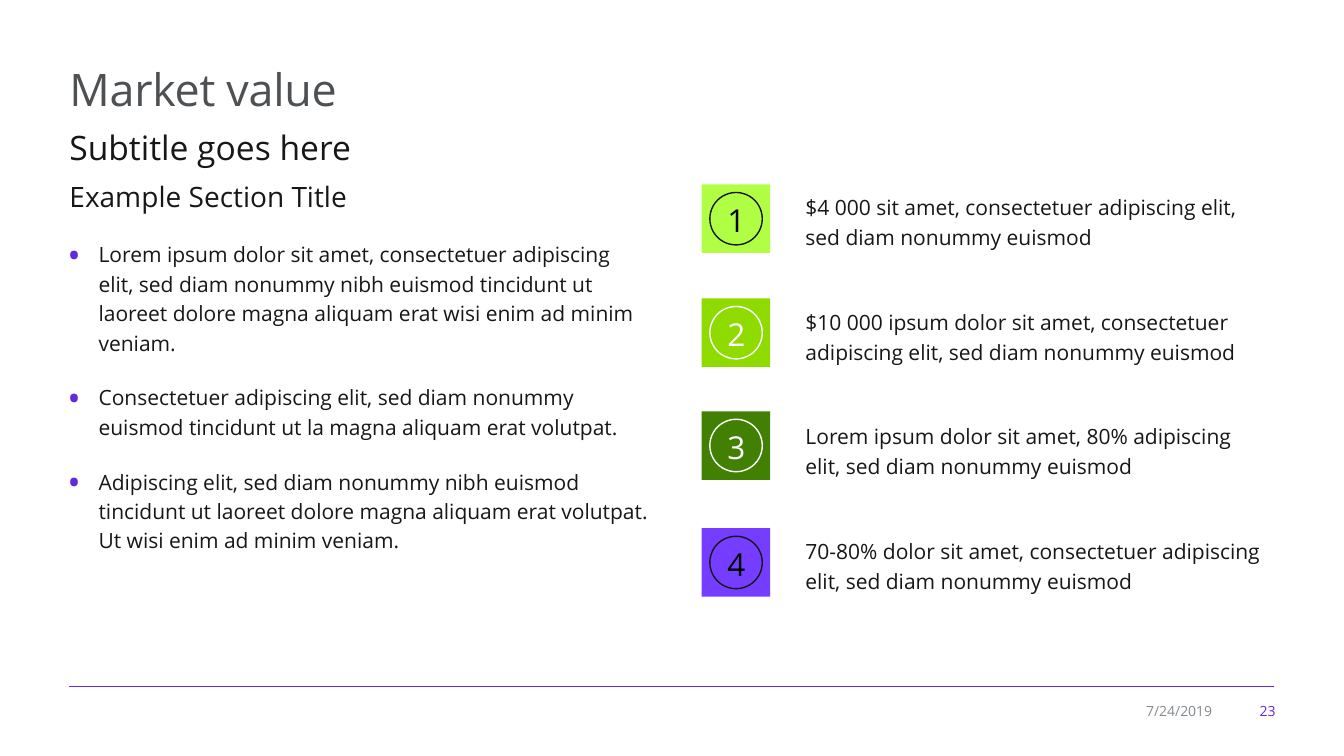
from dataclasses import dataclass
from typing import Optional

from lxml.etree import SubElement
from pptx import Presentation
from pptx.dml.color import RGBColor
from pptx.enum.shapes import MSO_CONNECTOR, MSO_SHAPE
from pptx.enum.text import MSO_ANCHOR, MSO_AUTO_SIZE, PP_ALIGN
from pptx.oxml.ns import qn
from pptx.shapes.autoshape import Shape
from pptx.slide import Slide
from pptx.text.text import _Paragraph as Paragraph
from pptx.util import Inches, Pt

FONT = "Open Sans"
INK = RGBColor(0x16, 0x17, 0x18)
BLACK = RGBColor(0x00, 0x00, 0x00)
WHITE = RGBColor(0xFF, 0xFF, 0xFF)
SLATE = RGBColor(0x4D, 0x51, 0x54)
GRAY = RGBColor(0x86, 0x8B, 0x90)
PURPLE = RGBColor(0x62, 0x2A, 0xD8)
VIOLET = RGBColor(0x75, 0x3D, 0xFF)
LIME = RGBColor(0xB0, 0xFF, 0x45)
GREEN = RGBColor(0x8F, 0xDB, 0x00)
FOREST = RGBColor(0x42, 0x80, 0x03)

TILE_LEFT = 6.96
TILE_SIZE = 0.68
RING_SIZE = 0.52
RING_INSET = (TILE_SIZE - RING_SIZE) / 2
VALUE_TOP = 1.83
VALUE_STEP = 1.137


@dataclass(frozen=True)
class Label:
    left: float
    top: float
    width: float
    height: float
    paragraphs: tuple[str, ...]
    size: float
    color: RGBColor = INK
    line_spacing: Optional[float] = None
    space_after: float = 0
    bulleted: bool = False
    footer: bool = False
    tracking: int = 0


@dataclass(frozen=True)
class Value:
    tile_top: float
    tile_color: RGBColor
    ring_color: RGBColor
    number_color: RGBColor
    text: str


LABELS = (
    Label(0.59, 0.56, 12.16, 0.66, ("Market value",), 32, SLATE, tracking=-20),
    Label(0.59, 1.14, 12.03, 0.54, ("Subtitle goes here",), 24, line_spacing=1.17, space_after=6),
    Label(0.59, 1.73, 5.95, 0.44, ("Example Section Title",), 20),
    Label(
        0.57, 2.31, 5.97, 3.54,
        (
            "Lorem ipsum dolor sit amet, consectetuer adipiscing elit, sed diam nonummy nibh "
            "euismod tincidunt ut laoreet dolore magna aliquam erat wisi enim ad minim veniam.",
            "Consectetuer adipiscing elit, sed diam nonummy\v"
            "euismod tincidunt ut la magna aliquam erat volutpat.",
            "Adipiscing elit, sed diam nonummy nibh euismod\v"
            "tincidunt ut laoreet dolore magna aliquam erat volutpat. Ut wisi enim ad minim veniam.",
        ),
        15, line_spacing=1.17, space_after=18, bulleted=True,
    ),
    Label(12.24, 6.92, 0.51, 0.26, ("23",), 10, PURPLE, footer=True),
    Label(11.17, 6.92, 0.95, 0.26, ("7/24/2019",), 10, GRAY, footer=True),
)

VALUES = (
    Value(1.83, LIME, INK, BLACK,
          "$4 000 sit amet, consectetuer adipiscing elit, sed diam nonummy euismod"),
    Value(2.96, GREEN, WHITE, WHITE,
          "$10 000 ipsum dolor sit amet, consectetuer adipiscing elit, sed diam nonummy euismod"),
    Value(4.08, FOREST, WHITE, WHITE,
          "Lorem ipsum dolor sit amet, 80% adipiscing elit, sed diam nonummy euismod"),
    Value(5.24, VIOLET, INK, BLACK,
          "70-80% dolor sit amet, consectetuer adipiscing elit, sed diam nonummy euismod"),
)


def style_font(paragraph: Paragraph, size: float, color: RGBColor) -> None:
    paragraph.font.name = FONT
    paragraph.font.size = Pt(size)
    paragraph.font.color.rgb = color


def add_bullet(paragraph: Paragraph) -> None:
    properties = paragraph._p.get_or_add_pPr()
    properties.set("marL", str(Inches(0.31)))
    properties.set("indent", str(-Inches(0.31)))
    color = SubElement(properties, qn("a:buClr"))
    SubElement(color, qn("a:srgbClr"), val=str(PURPLE))
    SubElement(properties, qn("a:buSzPct"), val="170000")
    SubElement(properties, qn("a:buFont"), typeface=FONT)
    SubElement(properties, qn("a:buChar"), char="•")


def add_label(page: Slide, label: Label) -> None:
    box = page.shapes.add_textbox(
        Inches(label.left), Inches(label.top), Inches(label.width), Inches(label.height)
    )
    frame = box.text_frame
    frame.word_wrap = True
    if label.footer:
        frame.vertical_anchor = MSO_ANCHOR.MIDDLE
    else:
        frame.auto_size = MSO_AUTO_SIZE.SHAPE_TO_FIT_TEXT
    for index, text in enumerate(label.paragraphs):
        paragraph = frame.add_paragraph() if index else frame.paragraphs[0]
        paragraph.text = text
        paragraph.line_spacing = label.line_spacing
        paragraph.space_after = Pt(label.space_after)
        if label.footer:
            paragraph.alignment = PP_ALIGN.RIGHT
        if label.bulleted:
            add_bullet(paragraph)
        style_font(paragraph, label.size, label.color)
        if label.tracking:
            for span in paragraph.runs:
                span._r.get_or_add_rPr().set("spc", str(label.tracking))


def add_square(page: Slide, kind: MSO_SHAPE, left: float, top: float, size: float) -> Shape:
    shape = page.shapes.add_shape(kind, Inches(left), Inches(top), Inches(size), Inches(size))
    shape.shadow.inherit = False
    return shape


def add_value(page: Slide, number: int, value: Value) -> None:
    tile = add_square(page, MSO_SHAPE.RECTANGLE, TILE_LEFT, value.tile_top, TILE_SIZE)
    tile.fill.solid()
    tile.fill.fore_color.rgb = value.tile_color
    tile.line.fill.background()

    ring = add_square(
        page, MSO_SHAPE.OVAL, TILE_LEFT + RING_INSET, value.tile_top + RING_INSET, RING_SIZE
    )
    ring.fill.background()
    ring.line.color.rgb = value.ring_color
    ring.line.width = Pt(1)
    frame = ring.text_frame
    frame.margin_top = Inches(0.08)
    frame.vertical_anchor = MSO_ANCHOR.MIDDLE
    paragraph = frame.paragraphs[0]
    paragraph.text = str(number)
    paragraph.alignment = PP_ALIGN.CENTER
    style_font(paragraph, 22.5, value.number_color)

    text_top = VALUE_TOP + (number - 1) * VALUE_STEP
    add_label(page, Label(7.89, text_top, 4.82, 0.71, (value.text,), 15, line_spacing=1.2))


def add_footer_rule(page: Slide) -> None:
    rule = page.shapes.add_connector(
        MSO_CONNECTOR.STRAIGHT, Inches(0.68), Inches(6.81), Inches(12.64), Inches(6.81)
    )
    rule.line.color.rgb = PURPLE
    rule.line.width = Pt(0.75)
    SubElement(rule._element.spPr, qn("a:effectLst"))


def main() -> None:
    deck = Presentation()
    deck.slide_width = Inches(13.33)
    deck.slide_height = Inches(7.5)
    page = deck.slides.add_slide(deck.slide_layouts[6])
    add_footer_rule(page)
    for label in LABELS:
        add_label(page, label)
    for number, value in enumerate(VALUES, start=1):
        add_value(page, number, value)
    deck.save("out.pptx")


if __name__ == "__main__":
    main()
